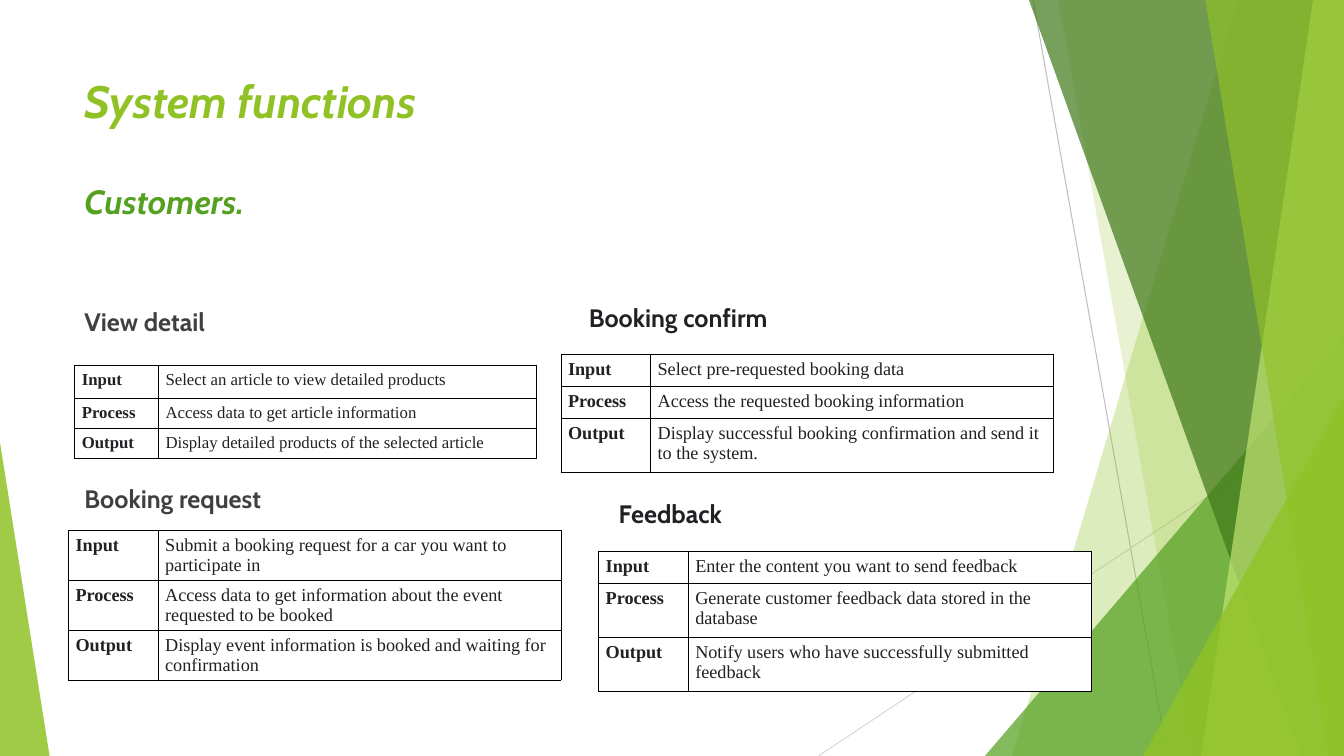
from lxml import etree
from pptx import Presentation
from pptx.dml.color import RGBColor
from pptx.enum.shapes import MSO_CONNECTOR, MSO_SHAPE
from pptx.oxml import parse_xml
from pptx.oxml.ns import nsdecls, qn
from pptx.util import Pt

STRAIGHT = MSO_CONNECTOR.STRAIGHT
TRIANGLE = MSO_SHAPE.ISOSCELES_TRIANGLE
WIDTH, HEIGHT = 960, 540
COLORS = {
    "lime": "90C226",
    "green": "54A021",
    "forest": "3F7819",
    "pale": "C0E474",
    "gray": "BFBFBF",
    "light": "D9D9D9",
    "slate": "404040",
    "ink": "202124",
    "black": "000000",
    "white": "FFFFFF",
}


def write(frame, text, font="Cabin", size=18, color="ink", bold=True, italic=False, leading=None):
    frame.word_wrap = True
    para = frame.paragraphs[0]
    if leading:
        para.line_spacing = Pt(leading)
    span = para.add_run()
    span.text = text
    span.font.name = font
    span.font.size = Pt(size)
    span.font.bold = bold
    span.font.italic = italic
    span.font.color.rgb = RGBColor.from_string(COLORS[color])


def paint(shape, color, opacity):
    shape.shadow.inherit = False
    shape.line.fill.background()
    shape.fill.solid()
    shape.fill.fore_color.rgb = RGBColor.from_string(COLORS[color])
    tint = shape.fill._xPr.find(qn("a:solidFill"))[0]
    etree.SubElement(tint, qn("a:alpha"), val=str(opacity * 1000))


deck = Presentation()
deck.slide_width, deck.slide_height = Pt(WIDTH), Pt(HEIGHT)
page = deck.slides.add_slide(deck.slide_layouts[6])

for x1, y1, x2, y2, color in [
    (738, 0, 834, HEIGHT, "gray"),
    (WIDTH, 290, 584.6, HEIGHT, "light"),
]:
    ray = page.shapes.add_connector(STRAIGHT, Pt(x1), Pt(y1), Pt(x2), Pt(y2))
    ray.line.width = Pt(0.75)
    ray.line.color.rgb = RGBColor.from_string(COLORS[color])
    etree.SubElement(ray._element.spPr, qn("a:effectLst"))

facets = [
    ("band", 884, 723, "lime", 30),
    ("band", 756, 852, "lime", 20),
    ("triangle", 703.5, 240, 256.5, 1, "green", 72),
    ("band", 735, 929.5, "forest", 70),
    ("band", 938, 858, "pale", 70),
    ("band", 861, 949, "lime", 65),
    ("triangle", 816.5, 283, 143.5, 1, "lime", 80),
    ("triangle", 0, 316, 35.4, 0, "lime", 85),
]
for kind, *place, color, opacity in facets:
    if kind == "band":
        top_x, bottom_x = place
        outline = page.shapes.build_freeform(Pt(top_x), 0)
        corners = [(WIDTH, 0), (WIDTH, HEIGHT), (bottom_x, HEIGHT)]
        outline.add_line_segments([(Pt(x), Pt(y)) for x, y in corners])
        facet = outline.convert_to_shape()
    else:
        left, top, width, apex = place
        facet = page.shapes.add_shape(TRIANGLE, Pt(left), Pt(top), Pt(width), Pt(HEIGHT - top))
        facet.adjustments[0] = apex
    paint(facet, color, opacity)

headings = [
    ("System functions", 53.3, 49, 670, {"size": 32.4, "color": "lime", "italic": True}),
    ("Customers.", 53.3, 125.5, 330, {"size": 24, "color": "green", "italic": True}),
    ("View detail", 53.3, 215.3, 330, {"color": "slate"}),
    ("Booking request", 53.3, 341.8, 330, {"color": "slate"}),
    ("Booking confirm", 413.5, 212.5, 200, {}),
    ("Feedback", 434.9, 352.5, 150, {}),
]
for text, left, top, width, style in headings:
    box = page.shapes.add_textbox(Pt(left), Pt(top), Pt(width), Pt(30))
    write(box.text_frame, text, **style)

tables = [
    (53.3, 260.7, (59.8, 270), (23.6, 21.4, 21.4), 12, 13.8, [
        "Select an article to view detailed products",
        "Access data to get article information",
        "Display detailed products of the selected article",
    ]),
    (48.8, 378.7, (64, 288), (35.7, 35.7, 35.7), 13, 14.2, [
        "Submit a booking request for a car you want to participate in",
        "Access data to get information about the event requested to be booked",
        "Display event information is booked and waiting for confirmation",
    ]),
    (400.6, 253.1, (64, 288), (22.9, 22.9, 38.6), 13, 14.2, [
        "Select pre-requested booking data",
        "Access the requested booking information",
        "Display successful booking confirmation and send it to the system.",
    ]),
    (427.5, 393.8, (64, 288), (22.9, 38.6, 38.6), 13, 14.2, [
        "Enter the content you want to send feedback",
        "Generate customer feedback data stored in the database",
        "Notify users who have successfully submitted feedback",
    ]),
]
for left, top, widths, heights, size, leading, details in tables:
    grid = page.shapes.add_table(
        3, 2, Pt(left), Pt(top), Pt(sum(widths)), Pt(sum(heights))
    ).table
    grid.first_row = grid.horz_banding = False
    for column, width in zip(grid.columns, widths):
        column.width = Pt(width)
    for row, height, stage, detail in zip(grid.rows, heights, ("Input", "Process", "Output"), details):
        row.height = Pt(height)
        for cell, text, bold in zip(row.cells, (stage, detail), (True, False)):
            cell.margin_left = cell.margin_right = Pt(5.2)
            cell.margin_top = cell.margin_bottom = Pt(3.6)
            write(cell.text_frame, text, font="Times New Roman", size=size, bold=bold, leading=leading)
            for place, side in enumerate(("lnL", "lnR", "lnT", "lnB")):
                border = parse_xml(
                    f'<a:{side} {nsdecls("a")} w="{Pt(0.5)}"><a:solidFill>'
                    f'<a:srgbClr val="{COLORS["black"]}"/></a:solidFill></a:{side}>'
                )
                cell._tc.get_or_add_tcPr().insert(place, border)
            cell.fill.solid()
            cell.fill.fore_color.rgb = RGBColor.from_string(COLORS["white"])

deck.save("out.pptx")
